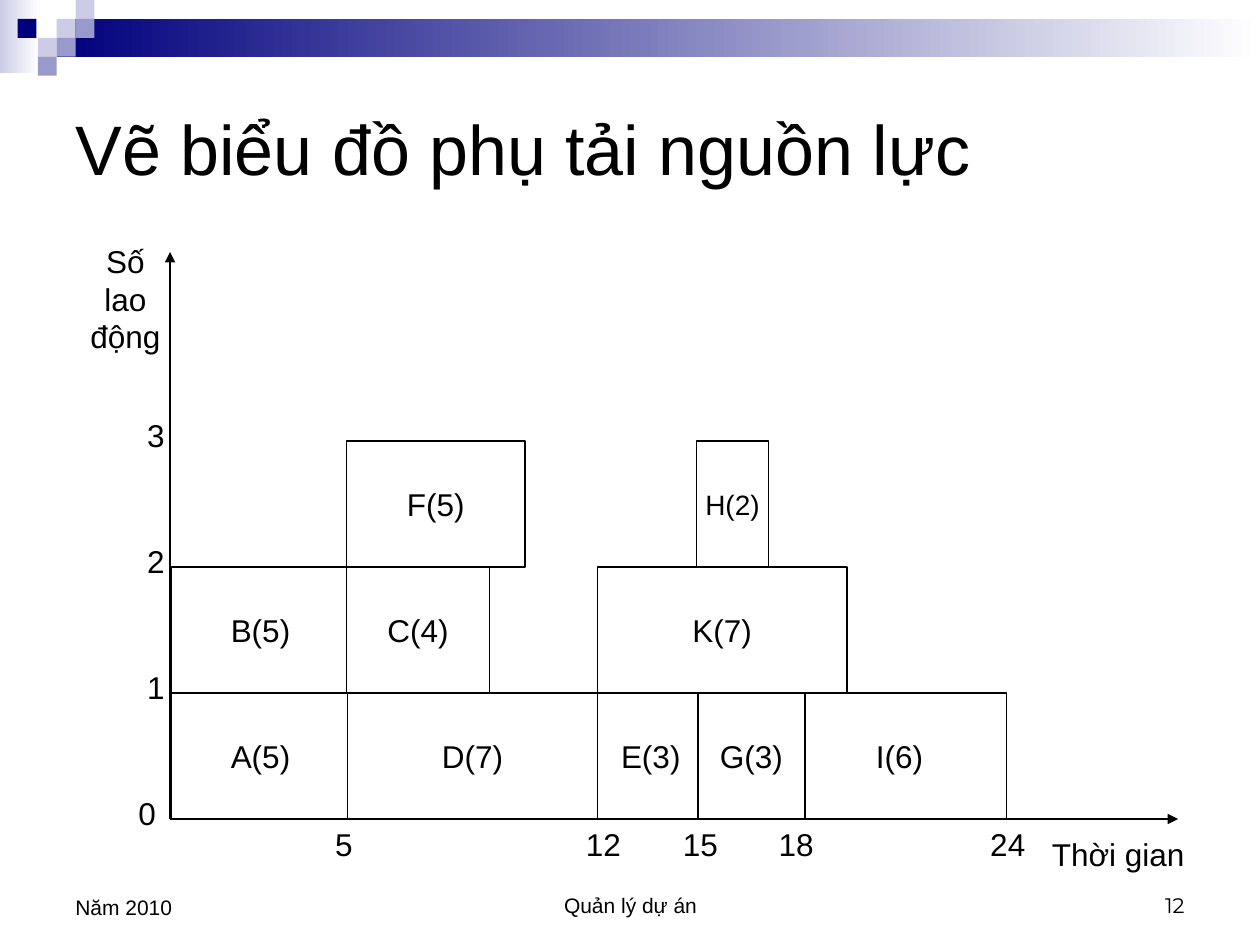
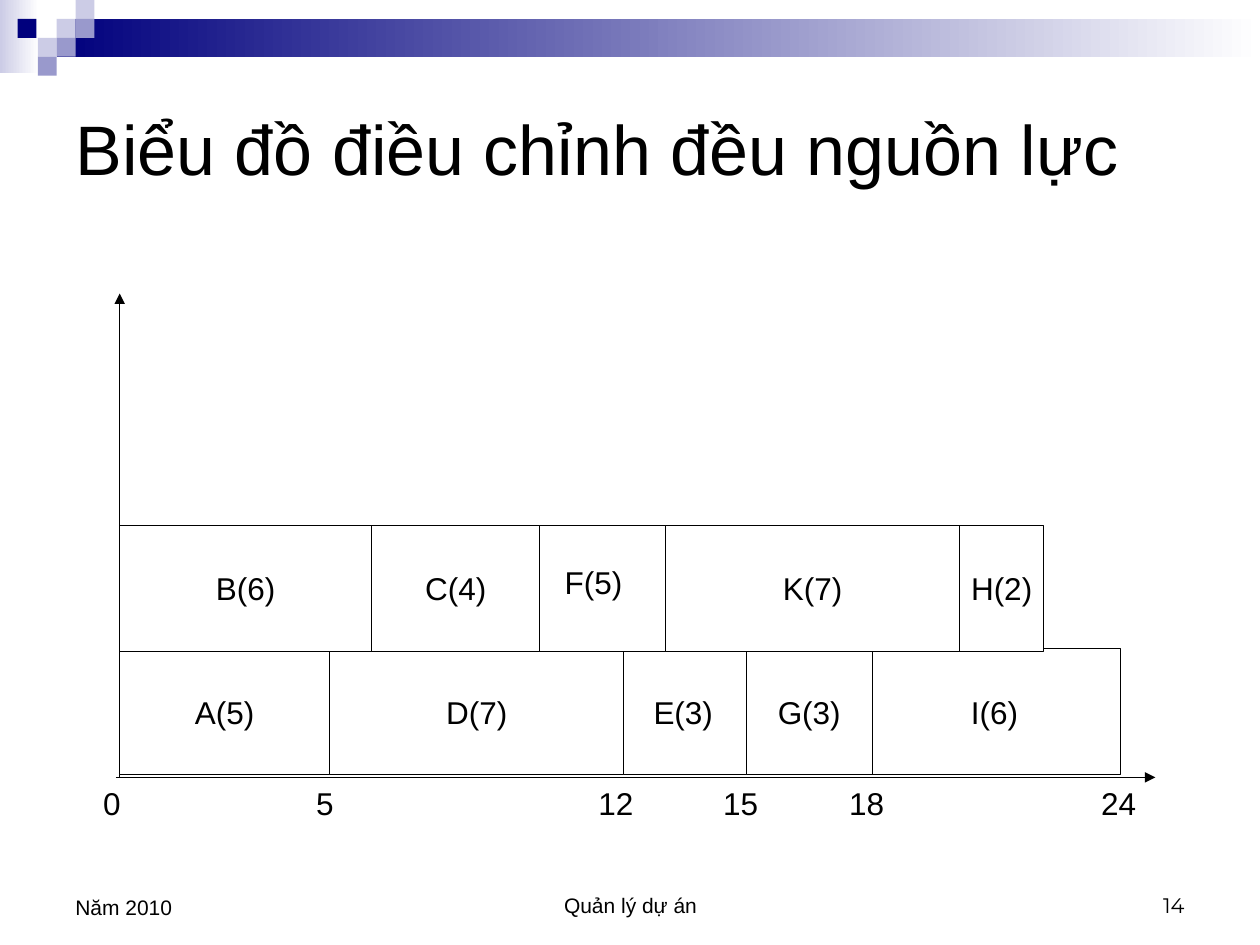
from dataclasses import dataclass
from typing import NamedTuple

from lxml.etree import SubElement
from pptx import Presentation
from pptx.dml.color import RGBColor
from pptx.enum.shapes import MSO_CONNECTOR, MSO_SHAPE
from pptx.enum.text import MSO_ANCHOR, PP_ALIGN
from pptx.oxml.ns import qn
from pptx.util import Emu, Inches, Pt

SLIDE_WIDTH, SLIDE_HEIGHT = Inches(10), Inches(7.5)
COLUMNS = 10  # the slide grid has 10 columns and 7.5 rows of square cells
CELL = SLIDE_WIDTH / COLUMNS
COLORS = {"ink": "000000", "paper": "FFFFFF", "navy": "00007D",
          "violet": "9999CC", "lilac": "CCCCE6"}
FONT = "Arial"
TITLE_LAYOUT = 5
INSET = 0.1


class Area(NamedTuple):
    left: float
    top: float
    width: float
    height: float


class Label(NamedTuple):
    text: str
    area: Area
    align: PP_ALIGN = PP_ALIGN.LEFT
    anchor: MSO_ANCHOR = MSO_ANCHOR.TOP
    size: float = 18
    font: str = FONT
    wrap: bool = True


class Task(NamedTuple):
    """A bar; start and length count time units, row counts up from the axis."""
    text: str
    start: float
    length: float
    row: int
    size: float = 18


class TickRow(NamedTuple):
    """Numbers under the time axis, with the grid column each is centred on."""
    area: Area
    centers: dict[str, float]


@dataclass
class LoadChart:
    title: str
    number: str
    origin: tuple[float, float]
    axis_start: float
    axis_end: float
    axis_top: float
    first_bar: tuple[float, float]
    unit: float
    row_pitch: float
    tasks: list[Task]
    ticks: list[TickRow]
    labels: list[Label]


TITLE_AREA = Area(0.5, 0.42, 9, 1.5)
BANDS = [(Area(0, 0, 0.31, 0.58), "lilac"), (Area(0.45, 0.15, 9.55, 0.3), "navy")]
TILE = 0.15
TILES = [(3, 1, "lilac"), (4, 0, "lilac"), (4, 1, "violet"), (2, 2, "lilac"),
         (0.93, 1, "navy"), (3, 2, "violet"), (2, 3, "violet")]

CHARTS = [
    LoadChart(
        title="Vẽ biểu đồ phụ tải nguồn lực", number="12",
        origin=(1.35, 6.5), axis_start=1.35, axis_end=9.35, axis_top=2,
        first_bar=(1.36, 5.5), unit=0.2833, row_pitch=1,
        tasks=[Task("A(5)", 0, 5, 0), Task("D(7)", 4.94, 7, 0),
               Task("E(3)", 11.93, 3, 0), Task("I(6)", 17.4, 6, 0),
               Task("G(3)", 14.75, 3, 0), Task("B(5)", 0, 5, 1),
               Task("F(5)", 4.91, 5, 2), Task("K(7)", 11.93, 7, 1),
               Task("H(2)", 14.72, 2, 2, 16), Task("C(4)", 4.91, 4, 1)],
        ticks=[TickRow(Area(2.5, 6.5, 0.42, 0.4), {"5": 2.73}),
               TickRow(Area(4.42, 6.5, 4, 0.4),
                       {"12": 4.79, "15": 5.56, "18": 6.32, "24": 8})],
        labels=[Label("Số lao động", Area(0.58, 1.87, 0.83, 1), PP_ALIGN.CENTER),
                Label("Thời gian", Area(8.25, 6.58, 1.25, 0.4), wrap=False),
                Label("0", Area(1, 6.25, 0.34, 0.4), wrap=False),
                *(Label(str(count), Area(1.07, 6.25 - count, 0.34, 0.4))
                  for count in range(1, 4))]),
    LoadChart(
        title="Biểu đồ điều chỉnh đều nguồn lực", number="14",
        origin=(0.95, 6.17), axis_start=0.92, axis_end=9.17, axis_top=2.33,
        first_bar=(0.95, 5.15), unit=1 / 3, row_pitch=0.98,
        tasks=[Task("E(3)", 11.92, 3, 0), Task("I(6)", 17.83, 6, 0),
               Task("G(3)", 14.92, 3, 0), Task("D(7)", 5, 7, 0),
               Task("K(7)", 13, 7, 1), Task("", 10, 3, 1),
               Task("A(5)", 0, 5, 0), Task("H(2)", 20, 2, 1),
               Task("B(6)", 0, 6, 1), Task("C(4)", 6, 4, 1)],
        ticks=[TickRow(Area(0.65, 6.17, 8.77, 0.4),
                       {"0": 0.89, "5": 2.58, "12": 4.89, "15": 5.88,
                        "18": 6.88, "24": 8.88})],
        labels=[Label("F(5)", Area(4.25, 4.42, 0.92, 0.4), PP_ALIGN.CENTER)]),
]


def cells(count: float) -> Emu:
    return Emu(round(count * CELL))


def frame(area: Area) -> list[Emu]:
    return [cells(length) for length in area]


def color(name: str) -> RGBColor:
    return RGBColor.from_string(COLORS[name])


def write(shape, label: Label) -> None:
    text_frame = shape.text_frame
    text_frame.text = label.text
    frame_format = {"word_wrap": label.wrap, "vertical_anchor": label.anchor,
                    "margin_left": cells(INSET), "margin_right": cells(INSET),
                    "margin_top": cells(INSET / 2), "margin_bottom": cells(INSET / 2)}
    for name, value in frame_format.items():
        setattr(text_frame, name, value)
    paragraph = text_frame.paragraphs[0]
    paragraph.alignment = label.align
    for run in paragraph.runs:
        for name, value in {"name": label.font, "size": Pt(label.size)}.items():
            setattr(run.font, name, value)
        run.font.color.rgb = color("ink")


def add_label(slide, label: Label):
    box = slide.shapes.add_textbox(*frame(label.area))
    write(box, label)
    return box


def add_rectangle(slide, area: Area):
    shape = slide.shapes.add_shape(MSO_SHAPE.RECTANGLE, *frame(area))
    shape.shadow.inherit = False
    return shape


def add_task(slide, chart: LoadChart, task: Task) -> None:
    left, top = chart.first_bar
    area = Area(left + task.start * chart.unit, top - task.row * chart.row_pitch,
                task.length * chart.unit, 1)
    bar = add_rectangle(slide, area)
    bar.fill.solid()
    bar.fill.fore_color.rgb = color("paper")
    bar.line.color.rgb = color("ink")
    bar.line.width = Pt(0.75)
    if task.text:
        write(bar, Label(task.text, area, PP_ALIGN.CENTER, MSO_ANCHOR.MIDDLE,
                         task.size, wrap=False))


def add_axis(slide, start: tuple[float, float], end: tuple[float, float]) -> None:
    axis = slide.shapes.add_connector(
        MSO_CONNECTOR.STRAIGHT, *(cells(length) for length in start + end))
    axis.line.color.rgb = color("ink")
    axis.line.width = Pt(0.75)
    SubElement(axis.line._get_or_add_ln(), qn("a:tailEnd"), type="triangle")
    SubElement(axis.element.spPr, qn("a:effectLst"))


def add_ticks(slide, row: TickRow) -> None:
    """Write the numbers in one box, each on a centred tab stop."""
    text = "".join(f"\t{number}" for number in row.centers)
    box = add_label(slide, Label(text, row.area))
    properties = box.text_frame.paragraphs[0]._p.get_or_add_pPr()
    tab_list = SubElement(properties, qn("a:tabLst"))
    for center in row.centers.values():
        position = cells(center - row.area.left - INSET)
        SubElement(tab_list, qn("a:tab"), pos=str(position), algn="ctr")


def decorate_master(presentation, slide) -> None:
    """Draw the bands and tiles on a slide, then move them to the back of the master."""
    decorations = []
    for area, name in BANDS:
        band = add_rectangle(slide, area)
        band.fill.gradient()
        band.fill.gradient_angle = 0
        for stop, stop_color in zip(band.fill.gradient_stops, (name, "paper")):
            stop.color.rgb = color(stop_color)
        decorations.append(band)
    for column, row, name in TILES:
        tile = add_rectangle(slide, Area(column * TILE, row * TILE, TILE, TILE))
        tile.fill.solid()
        tile.fill.fore_color.rgb = color(name)
        decorations.append(tile)
    tree = presentation.slide_master.shapes.element
    for index, shape in enumerate(decorations):
        shape.line.fill.background()
        shape.element.nvSpPr.cNvPr.set("id", str(100 + index))
        tree.insert(2 + index, shape.element)


def add_title(slide, text: str) -> None:
    title = slide.shapes.title
    for name, value in zip(("left", "top", "width", "height"), frame(TITLE_AREA)):
        setattr(title, name, value)
    write(title, Label(text, TITLE_AREA, anchor=MSO_ANCHOR.MIDDLE, size=40))


def add_footer(slide, number: str) -> None:
    footers = [
        ("Quản lý dự án", Area(3.42, 6.83, 3.17, 0.5), PP_ALIGN.CENTER, FONT),
        (number, Area(7.17, 6.83, 2.33, 0.5), PP_ALIGN.RIGHT, "Montserrat"),
        ("Năm 2010", Area(0.5, 6.83, 2.33, 0.52), PP_ALIGN.LEFT, FONT),
    ]
    for text, area, align, font in footers:
        add_label(slide, Label(text, area, align, MSO_ANCHOR.BOTTOM, 12, font))


def add_load_chart(slide, chart: LoadChart) -> None:
    left, bottom = chart.origin
    add_axis(slide, (left, bottom), (left, chart.axis_top))
    add_axis(slide, (chart.axis_start, bottom), (chart.axis_end, bottom))
    for task in chart.tasks:
        add_task(slide, chart, task)
    for row in chart.ticks:
        add_ticks(slide, row)
    for label in chart.labels:
        add_label(slide, label)


def main() -> None:
    presentation = Presentation()
    presentation.slide_width, presentation.slide_height = SLIDE_WIDTH, SLIDE_HEIGHT
    layout = presentation.slide_layouts[TITLE_LAYOUT]
    for index, chart in enumerate(CHARTS):
        slide = presentation.slides.add_slide(layout)
        if index == 0:
            decorate_master(presentation, slide)
        add_title(slide, chart.title)
        add_load_chart(slide, chart)
        add_footer(slide, chart.number)
    presentation.save("out.pptx")


if __name__ == "__main__":
    main()
